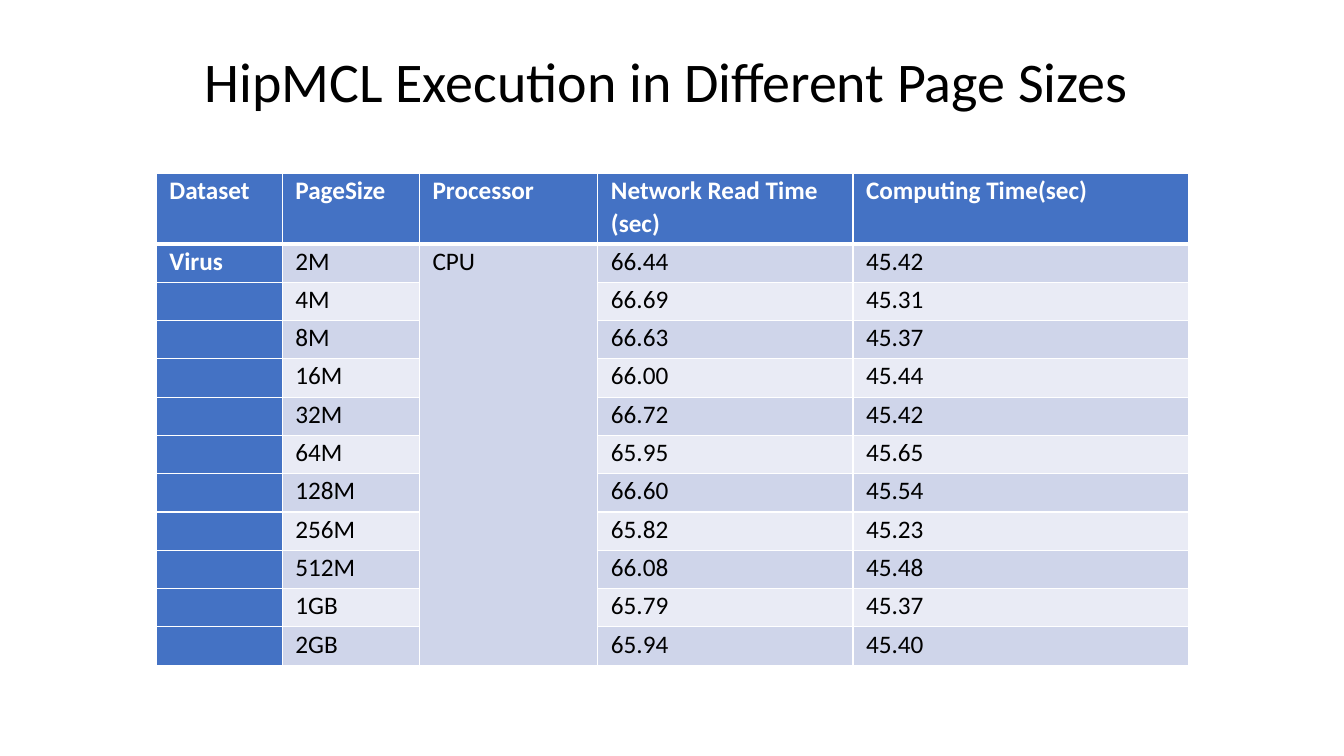
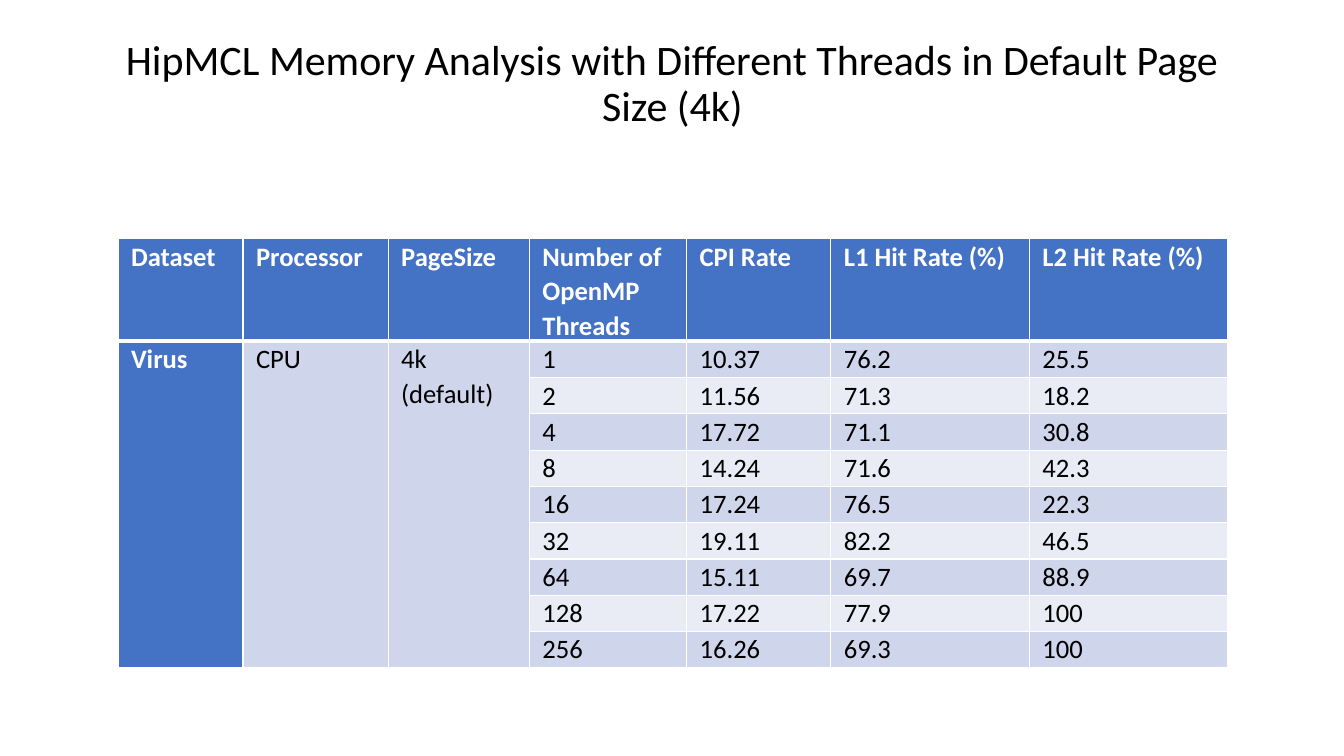
from lxml import etree
from pptx import Presentation
from pptx import util as u
from pptx.dml.color import RGBColor
from pptx.enum import text
from pptx.oxml import ns

# Shared style
BLACK = RGBColor(0x00, 0x00, 0x00)
WHITE = RGBColor(0xFF, 0xFF, 0xFF)
BLUE = RGBColor(0x44, 0x72, 0xC4)
DARK_BAND = RGBColor(0xCF, 0xD5, 0xEA)
LIGHT_BAND = RGBColor(0xE9, 0xEB, 0xF5)
FONT = "Calibri"
THIN, THICK = 1, 3


class Deck:
    """Holds the shared style and the current slide."""

    def __init__(self):
        self.presentation = Presentation()
        self.presentation.slide_width = u.Inches(13.33)
        self.presentation.slide_height = u.Inches(7.5)
        self.slide = None

    def add_slide(self):
        self.slide = self.presentation.slides.add_slide(self.presentation.slide_layouts[6])

    def add_text(self, paragraph, words, size, color, bold=False):
        run = paragraph.add_run()
        run.text = words
        run.font.name = FONT
        run.font.size = u.Pt(size)
        run.font.bold = bold
        run.font.color.rgb = color

    def title(self, words, size, height):
        shape = self.slide.shapes.add_textbox(
            u.Inches(0.92), u.Inches(0.32), u.Inches(11.5), u.Inches(height))
        frame = shape.text_frame
        frame.word_wrap = True
        frame.vertical_anchor = text.MSO_ANCHOR.BOTTOM
        paragraph = frame.paragraphs[0]
        paragraph.alignment = text.PP_ALIGN.CENTER
        paragraph.line_spacing = 0.9
        self.add_text(paragraph, words, size, BLACK)

    def borders(self, cell, top, bottom):
        properties = cell._tc.get_or_add_tcPr()
        sides = {"lnL": THIN, "lnR": THIN, "lnT": top, "lnB": bottom}
        for position, (side, width) in enumerate(sides.items()):
            line = etree.Element(ns.qn("a:" + side), w=str(u.Pt(width)))
            fill = etree.SubElement(line, ns.qn("a:solidFill"))
            etree.SubElement(fill, ns.qn("a:srgbClr"), val=str(WHITE))
            properties.insert(position, line)

    def cell(self, cell, words, size, row, column):
        is_heading = row == 0 or column == 0
        cell.margin_left = cell.margin_right = u.Inches(0.13)
        cell.margin_top = cell.margin_bottom = 0
        cell.fill.solid()
        band = DARK_BAND if row % 2 else LIGHT_BAND
        cell.fill.fore_color.rgb = BLUE if is_heading else band
        self.borders(cell, THICK if row == 1 else THIN, THICK if row == 0 else THIN)
        if words:
            paragraph = cell.text_frame.paragraphs[0]
            paragraph.line_spacing = 1.07
            self.add_text(paragraph, words, size, WHITE if is_heading else BLACK, is_heading)

    def table(self, left, top, widths, header_height, row_height, rows, size, merged):
        heights = [header_height] + [row_height] * (len(rows) - 1)
        table = self.slide.shapes.add_table(
            len(rows), len(widths), u.Inches(left), u.Inches(top),
            u.Inches(sum(widths)), u.Inches(sum(heights))).table
        for column, width in zip(table.columns, widths):
            column.width = u.Inches(width)
        for table_row, height in zip(table.rows, heights):
            table_row.height = u.Inches(height)
        for row, values in enumerate(rows):
            for column, words in enumerate(values):
                self.cell(table.cell(row, column), words, size, row, column)
        for column in merged:
            table.cell(1, column).merge(table.cell(len(rows) - 1, column))


deck = Deck()

# Slide 1: execution times by page size
page_times = [
    ("2M", "66.44", "45.42"), ("4M", "66.69", "45.31"), ("8M", "66.63", "45.37"),
    ("16M", "66.00", "45.44"), ("32M", "66.72", "45.42"), ("64M", "65.95", "45.65"),
    ("128M", "66.60", "45.54"), ("256M", "65.82", "45.23"), ("512M", "66.08", "45.48"),
    ("1GB", "65.79", "45.37"), ("2GB", "65.94", "45.40"),
]
page_rows = [("Dataset", "PageSize", "Processor", "Network Read Time (sec)",
              "Computing Time(sec)")]
for index, (page_size, read_time, computing_time) in enumerate(page_times):
    dataset, processor = ("", "") if index else ("Virus", "CPU")
    page_rows.append((dataset, page_size, processor, read_time, computing_time))

deck.add_slide()
deck.title("HipMCL Execution in Different Page Sizes ", 40, 0.87)
deck.table(1.55, 1.72, [1.25, 1.36, 1.77, 2.53, 3.33], 0.7, 0.38, page_rows, 18, merged=[2])

# Slide 2: memory analysis by thread count
thread_rates = [
    ("10.37", "76.2", "25.5"), ("11.56", "71.3", "18.2"), ("17.72", "71.1", "30.8"),
    ("14.24", "71.6", "42.3"), ("17.24", "76.5", "22.3"), ("19.11", "82.2", "46.5"),
    ("15.11", "69.7", "88.9"), ("17.22", "77.9", "100"), ("16.26", "69.3", "100"),
]
thread_rows = [("Dataset", "Processor", "PageSize ", "Number of OpenMP Threads",
                "CPI Rate", "L1 Hit Rate (%)", "L2 Hit Rate (%)")]
for index, rates in enumerate(thread_rates):
    labels = ("", "", "") if index else ("Virus", "CPU", "4k (default)")
    thread_rows.append((*labels, str(2 ** index), *rates))

deck.add_slide()
deck.title("HipMCL Memory Analysis with Different Threads in Default Page Size (4k)", 30, 1.02)
deck.table(1.17, 2.37, [1.24, 1.44, 1.4, 1.56, 1.43, 1.97, 1.97], 0.98, 0.36,
           thread_rows, 19, merged=[0, 1, 2])

deck.presentation.save("out.pptx")
